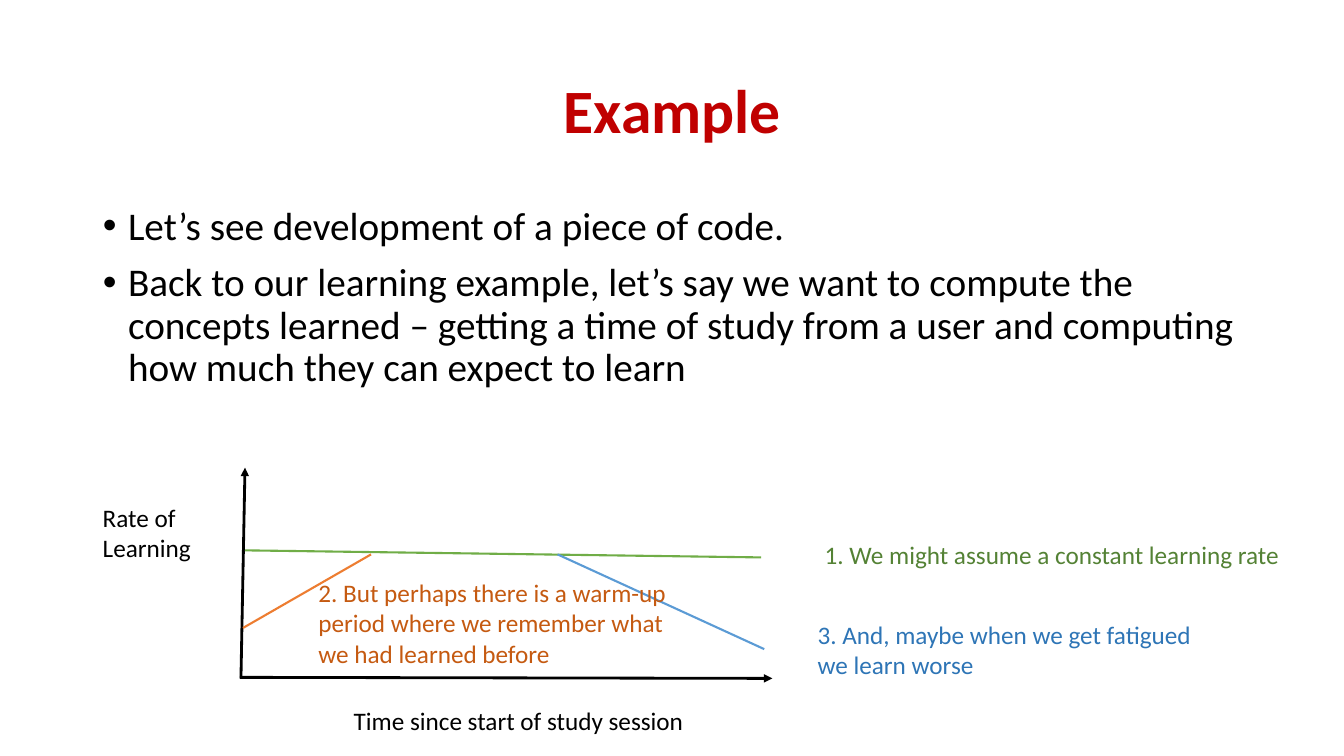
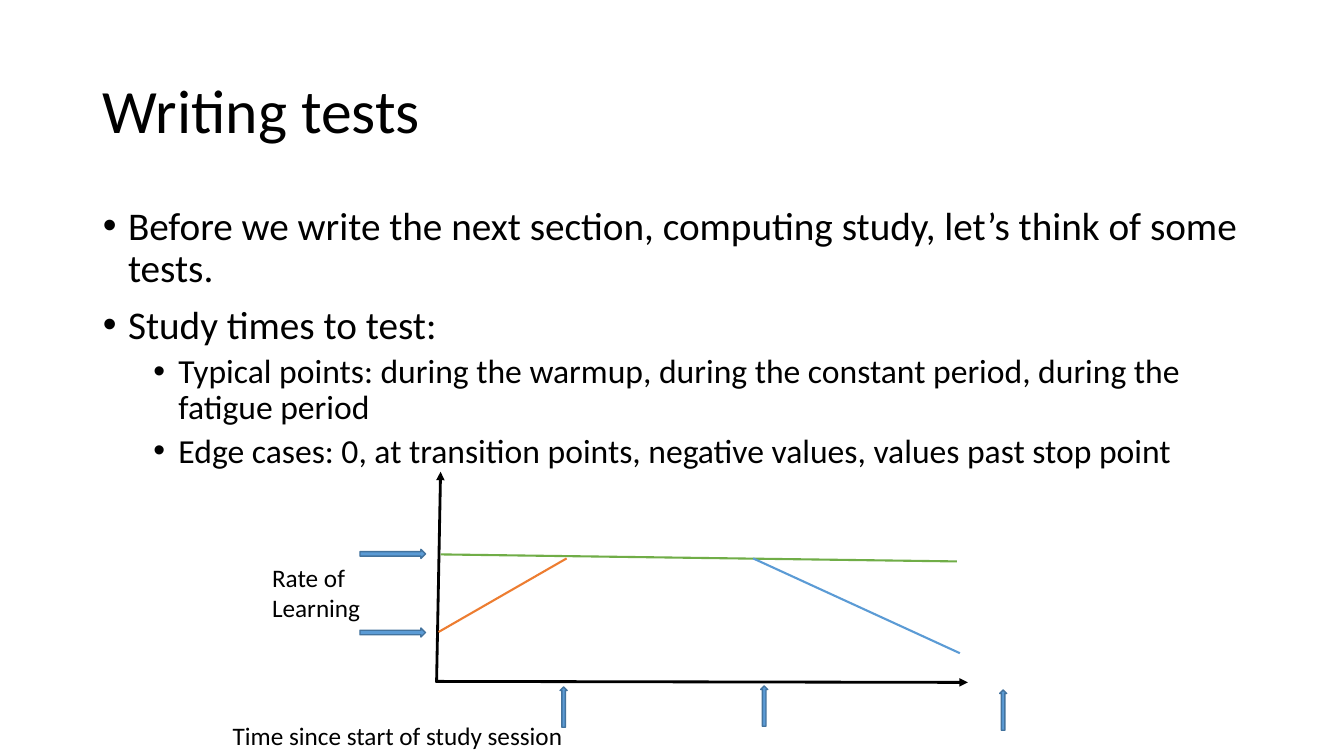
from lxml import etree
from pptx import Presentation
from pptx.dml.color import RGBColor
from pptx.enum.shapes import MSO_CONNECTOR, MSO_SHAPE
from pptx.enum.text import MSO_ANCHOR, MSO_AUTO_SIZE, PP_ALIGN
from pptx.oxml.ns import qn
from pptx.util import Pt

STRAIGHT = MSO_CONNECTOR.STRAIGHT
RIGHT_ARROW = MSO_SHAPE.RIGHT_ARROW
MIDDLE, TOP = MSO_ANCHOR.MIDDLE, MSO_ANCHOR.TOP
NO_AUTOFIT, GROW = MSO_AUTO_SIZE.NONE, MSO_AUTO_SIZE.SHAPE_TO_FIT_TEXT
LEFT, CENTER = PP_ALIGN.LEFT, PP_ALIGN.CENTER

EMU_PER_PX = 9144
SLIDE_SIZE = (1333, 750)
TITLE_BOX = (92, 40, 1150, 145)
BODY_BOX = (92, 200, 1150, 476)
FONT = "Calibri"
BLACK, RED = "000000", "C00000"
GREEN, BLUE, ORANGE = "70AD47", "5B9BD5", "ED7D31"
DARK_GREEN, DARK_BLUE, DARK_ORANGE = "548235", "2E75B6", "C55A11"
ARROW_EDGE = "43739E"
LEVELS = [(28, 10, 25), (24, 5, 75)]
AXES = [((0, 208), (528, 209)), ((1, 209), (5, 0))]
CURVES = [
    (GREEN, (5, 82), (517, 89)),
    (BLUE, (315, 86), (520, 180)),
    (ORANGE, (3, 159), (130, 86)),
]


def px(length):
    """Convert px to EMU."""
    return length * EMU_PER_PX


def color(hex_code):
    """Turn a hex string into a colour."""
    return RGBColor.from_string(hex_code)


def style_font(font, size, hex_code, bold=False):
    """Apply the shared typeface with a size, colour and weight."""
    font.name = FONT
    font.size = Pt(size)
    font.color.rgb = color(hex_code)
    font.bold = bold


def place(shape, box):
    """Move and size a shape to a box in px."""
    shape.left, shape.top, shape.width, shape.height = map(px, box)


def fill_title(shape, text, hex_code, bold, alignment):
    """Format the title placeholder."""
    place(shape, TITLE_BOX)
    frame = shape.text_frame
    frame.text = text
    frame.auto_size = NO_AUTOFIT
    frame.vertical_anchor = MIDDLE
    paragraph = frame.paragraphs[0]
    paragraph.alignment = alignment
    paragraph.line_spacing = 0.9
    style_font(paragraph.font, 44, hex_code, bold)


def fill_body(shape, items):
    """Write (level, text) items as bullets in the body placeholder."""
    place(shape, BODY_BOX)
    frame = shape.text_frame
    frame.text = "\n".join(text for _, text in items)
    frame.auto_size = NO_AUTOFIT
    frame.vertical_anchor = TOP
    for paragraph, (level, _) in zip(frame.paragraphs, items):
        size, space_before, indent = LEVELS[level]
        paragraph.level = level
        paragraph.line_spacing = 0.9
        paragraph.space_before = Pt(space_before)
        properties = paragraph._p.get_or_add_pPr()
        properties.set("marL", str(px(indent)))
        properties.set("indent", str(px(-25)))
        etree.SubElement(properties, qn("a:buFont"), typeface="Arial")
        etree.SubElement(properties, qn("a:buChar"), char="•")
        style_font(paragraph.font, size, BLACK)


def add_content_slide(presentation, title, items, title_color=BLACK, bold=False, alignment=LEFT):
    """Add a slide with a title and a bulleted list."""
    slide = presentation.slides.add_slide(presentation.slide_layouts[1])
    fill_title(slide.shapes.title, title, title_color, bold, alignment)
    fill_body(slide.placeholders[1], items)
    return slide


def add_line(shapes, origin, start, end, hex_code, width, arrowhead=False):
    """Draw a line between two points given relative to an origin."""
    points = [px(base + offset) for point in (start, end) for base, offset in zip(origin, point)]
    connector = shapes.add_connector(STRAIGHT, *points)
    connector.line.color.rgb = color(hex_code)
    connector.line.width = Pt(width)
    properties = connector.element.spPr
    if arrowhead:
        etree.SubElement(properties.find(qn("a:ln")), qn("a:tailEnd"), type="triangle")
    etree.SubElement(properties, qn("a:effectLst"))


def add_label(shapes, origin, box, text, hex_code=BLACK):
    """Add an unwrapped text label relative to an origin."""
    left, top, width, height = box
    label = shapes.add_textbox(*map(px, (origin[0] + left, origin[1] + top, width, height)))
    frame = label.text_frame
    frame.text = text
    frame.word_wrap = False
    frame.auto_size = GROW
    for paragraph in frame.paragraphs:
        style_font(paragraph.font, 18, hex_code)


def add_learning_graph(shapes, origin, time_at, rate_at):
    """Draw the axes, curves and axis labels of the learning graph."""
    for start, end in AXES:
        add_line(shapes, origin, start, end, BLACK, 2, arrowhead=True)
    add_label(shapes, origin, (*time_at, 356, 40), "Time since start of study session")
    add_label(shapes, origin, (*rate_at, 109, 71), "Rate of\nLearning")
    for hex_code, start, end in CURVES:
        add_line(shapes, origin, start, end, hex_code, 1.5)


def add_marker(shapes, origin, box, rotation):
    """Add a block arrow that marks a test point."""
    left, top, width, height = box
    marker = shapes.add_shape(
        RIGHT_ARROW, *map(px, (origin[0] + left, origin[1] + top, width, height)))
    marker.rotation = rotation
    marker.shadow.inherit = False
    marker.fill.solid()
    marker.fill.fore_color.rgb = color(BLUE)
    marker.line.color.rgb = color(ARROW_EDGE)
    marker.line.width = Pt(1)


def add_example_slide(presentation):
    """Build the slide that explains the learning curves."""
    slide = add_content_slide(presentation, "Example", [
        (0, "Let’s see development of a piece of code."),
        (0, "Back to our learning example, let’s say we want to compute the concepts learned – "
            "getting a time of study from a user and computing how much they can expect to learn"),
    ], RED, True, CENTER)
    origin = (238, 464)
    add_learning_graph(slide.shapes, origin, (103, 231), (-146, 29))
    for box, text, hex_code in [
        ((570, 66, 479, 40), "1. We might assume a constant learning rate", DARK_GREEN),
        ((563, 145, 401, 71), "3. And, maybe when we get fatigued\vwe learn worse", DARK_BLUE),
        ((68, 104, 382, 101), "2. But perhaps there is a warm-up\vperiod where we remember what"
                              "\vwe had learned before", DARK_ORANGE),
    ]:
        add_label(slide.shapes, origin, box, text, hex_code)


def add_tests_slide(presentation):
    """Build the slide that marks the test points on the graph."""
    slide = add_content_slide(presentation, "Writing tests", [
        (0, "Before we write the next section, computing study, let’s think of some tests."),
        (0, "Study times to test:"),
        (1, "Typical points: during the warmup, during the constant period, "
            "during the fatigue period"),
        (1, "Edge cases: 0, at transition points, negative values, values past stop point"),
    ])
    shapes = slide.shapes.add_group_shape().shapes
    origin = (432, 468)
    add_learning_graph(shapes, origin, (-211, 242), (-172, 85))
    for top in (155, 77):
        add_marker(shapes, origin, (-75, top, 65, 9), 0)
    for left, top in [(107, 230), (306, 229), (543, 233)]:
        add_marker(shapes, origin, (left, top, 40, 7), 270)


def main():
    """Build and save the presentation."""
    presentation = Presentation()
    presentation.slide_width, presentation.slide_height = map(px, SLIDE_SIZE)
    add_example_slide(presentation)
    add_tests_slide(presentation)
    presentation.save("out.pptx")


if __name__ == "__main__":
    main()
